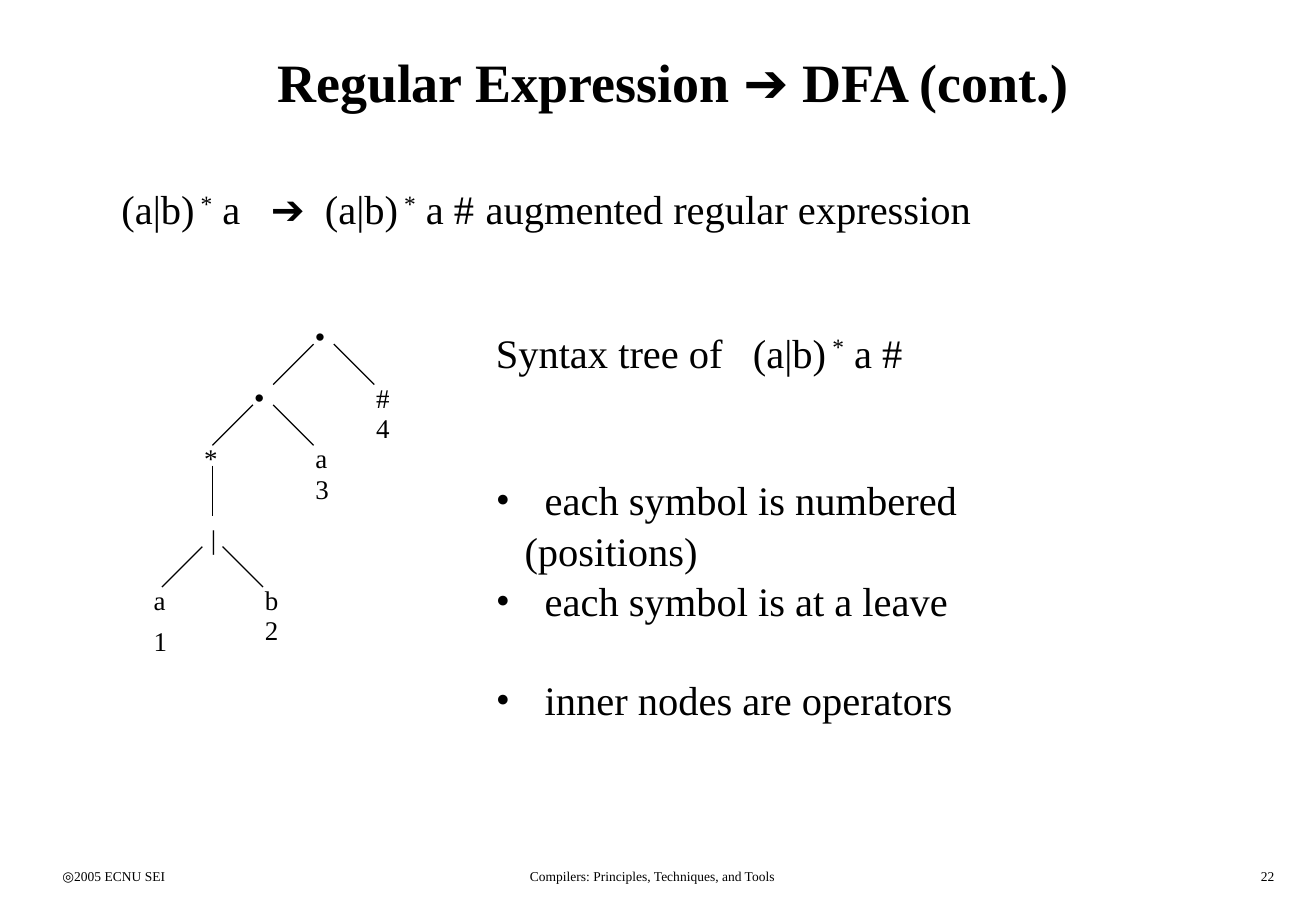
from lxml import etree
from pptx import Presentation
from pptx.dml.color import RGBColor
from pptx.enum.shapes import MSO_CONNECTOR
from pptx.enum.text import MSO_ANCHOR, PP_ALIGN
from pptx.oxml.ns import qn
from pptx.util import Pt

LEFT, MID, RIGHT = PP_ALIGN.LEFT, PP_ALIGN.CENTER, PP_ALIGN.RIGHT
TOP, CENTER = MSO_ANCHOR.TOP, MSO_ANCHOR.MIDDLE
LINE = MSO_CONNECTOR.STRAIGHT
SERIF, SANS = "Times New Roman", "Arial"
COLORS = {"ink": "000000", "back": "FFFFFF"}


def color(name):
    return RGBColor.from_string(COLORS[name])


def write(par, text, size=24, font=SERIF, bold=False, base=0):
    """Add one run of text to a paragraph."""
    run = par.add_run()
    run.text = text
    run.font.size = Pt(size)
    run.font.name = font
    run.font.bold = bold
    run.font.color.rgb = color("ink")
    if base:
        run.font._element.set("baseline", str(base * 1000))


def regex(par, head, tail):
    """Write a starred expression with its raised star."""
    write(par, head)
    write(par, " *", base=30)
    write(par, tail)


class Page:
    def __init__(self, deck):
        self.slide = deck.slides.add_slide(deck.slide_layouts[5])
        fill = self.slide.background.fill
        fill.solid()
        fill.fore_color.rgb = color("back")

    def place(self, shape, left, top, width, height):
        shape.left, shape.top = Pt(left), Pt(top)
        shape.width, shape.height = Pt(width), Pt(height)

    def title(self, runs, left, top, width, height):
        shape = self.slide.shapes.title
        self.place(shape, left, top, width, height)
        frame = shape.text_frame
        frame.word_wrap = True
        frame.vertical_anchor = CENTER
        par = frame.paragraphs[0]
        par.alignment = MID
        for text, font in runs:
            write(par, text, size=32, font=font, bold=True)

    def box(self, left, top, width, height, align=LEFT):
        shape = self.slide.shapes.add_textbox(
            Pt(left), Pt(top), Pt(width), Pt(height))
        frame = shape.text_frame
        frame.word_wrap = True
        frame.vertical_anchor = TOP
        frame.paragraphs[0].alignment = align
        return frame

    def label(self, text, left, top, width=22, height=27, align=LEFT, **style):
        frame = self.box(left, top, width, height, align)
        write(frame.paragraphs[0], text, **style)

    def bullet(self, frame, text, gap):
        par = frame.add_paragraph()
        props = par._p.get_or_add_pPr()
        props.set("marL", str(Pt(17)))
        props.set("indent", str(-Pt(17)))
        etree.SubElement(props, qn("a:buFont")).set("typeface", SERIF)
        etree.SubElement(props, qn("a:buChar")).set("char", "•")
        par.line_spacing = 1.045
        par.space_before = Pt(gap)
        write(par, text)

    def line(self, x1, y1, x2, y2):
        shape = self.slide.shapes.add_connector(
            LINE, Pt(x1), Pt(y1), Pt(x2), Pt(y2))
        shape.line.color.rgb = color("ink")
        shape.line.width = Pt(0.75)
        etree.SubElement(shape._element.spPr, qn("a:effectLst"))

    def fork(self, x, y):
        for side in (-1, 1):
            self.line(x + 6 * side, y, x + 30 * side, y + 24)


def main():
    deck = Presentation()
    deck.slide_width = Pt(780.48)
    deck.slide_height = Pt(540)
    page = Page(deck)

    # Title
    page.title([("Regular Expression ", SERIF), ("➔", SANS),
                (" DFA (cont.)", SERIF)], 30, 12, 738, 72)

    # Augmented expression
    par = page.box(65, 105.5, 560, 36).paragraphs[0]
    tabs = etree.SubElement(par._p.get_or_add_pPr(), qn("a:tabLst"))
    stop = etree.SubElement(tabs, qn("a:tab"))
    stop.set("pos", str(Pt(216)))
    stop.set("algn", "l")
    regex(par, "(a|b)", " a   ")
    write(par, "➔", font=SANS)
    regex(par, "  (a|b)", " a #\taugmented regular expression")

    # Tree branches
    for x, y in ((192, 204), (156, 240), (126, 324)):
        page.fork(x, y)
    page.line(126, 276, 126, 306)

    # Tree nodes
    for text, x, y in (("•", 180, 186), ("•", 144, 222)):
        page.label(text, x, y, size=16, font=SANS)
    nodes = (("*", 114, 258), ("|", 118, 306), ("#", 216, 222),
             ("a", 180, 258), ("a", 84, 342), ("b", 150, 342))
    marks = (("1", 84, 366), ("2", 150, 360), ("3", 180, 276), ("4", 216, 240))
    for text, x, y in nodes + marks:
        page.label(text, x, y + 0.4, size=16)

    # Notes on the tree
    notes = page.box(287, 189.5, 388, 238)
    head = notes.paragraphs[0]
    head.line_spacing = 1.045
    regex(head, "Syntax tree of   (a|b)", " a #")
    for text, gap in (("  each symbol is numbered (positions)", 57.6),
                      ("  each symbol is at a leave", 0),
                      ("  inner nodes are operators", 28.8)):
        page.bullet(notes, text, gap)

    # Footer
    for text, x, width, align in (
            ("◎2005 ECNU SEI", 30, 163, LEFT),
            ("Compilers: Principles, Techniques, and Tools", 241, 292, MID),
            ("22", 600, 163, RIGHT)):
        page.label(text, x, 511, width, 18, align, size=8)

    deck.save("out.pptx")


if __name__ == "__main__":
    main()
